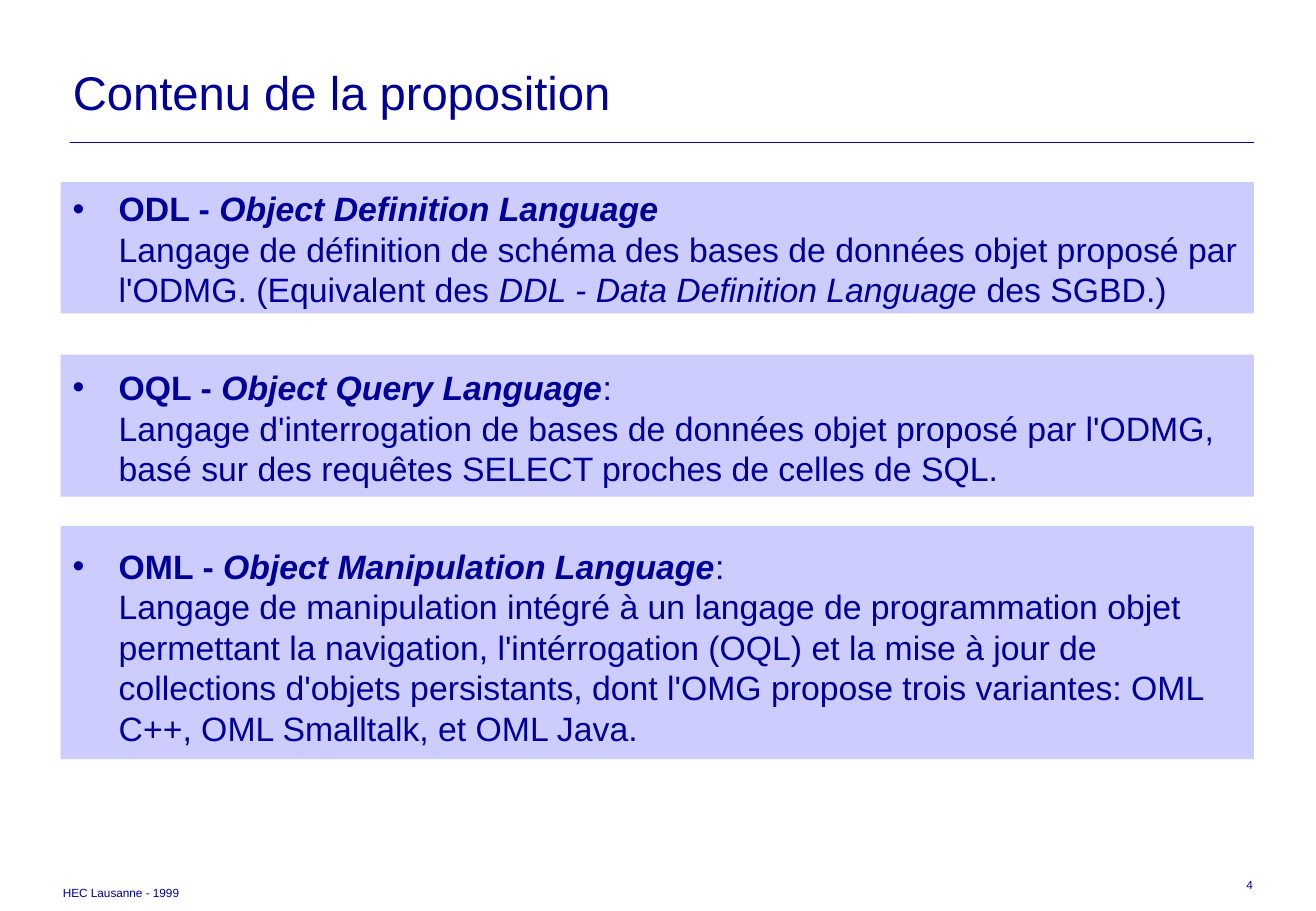
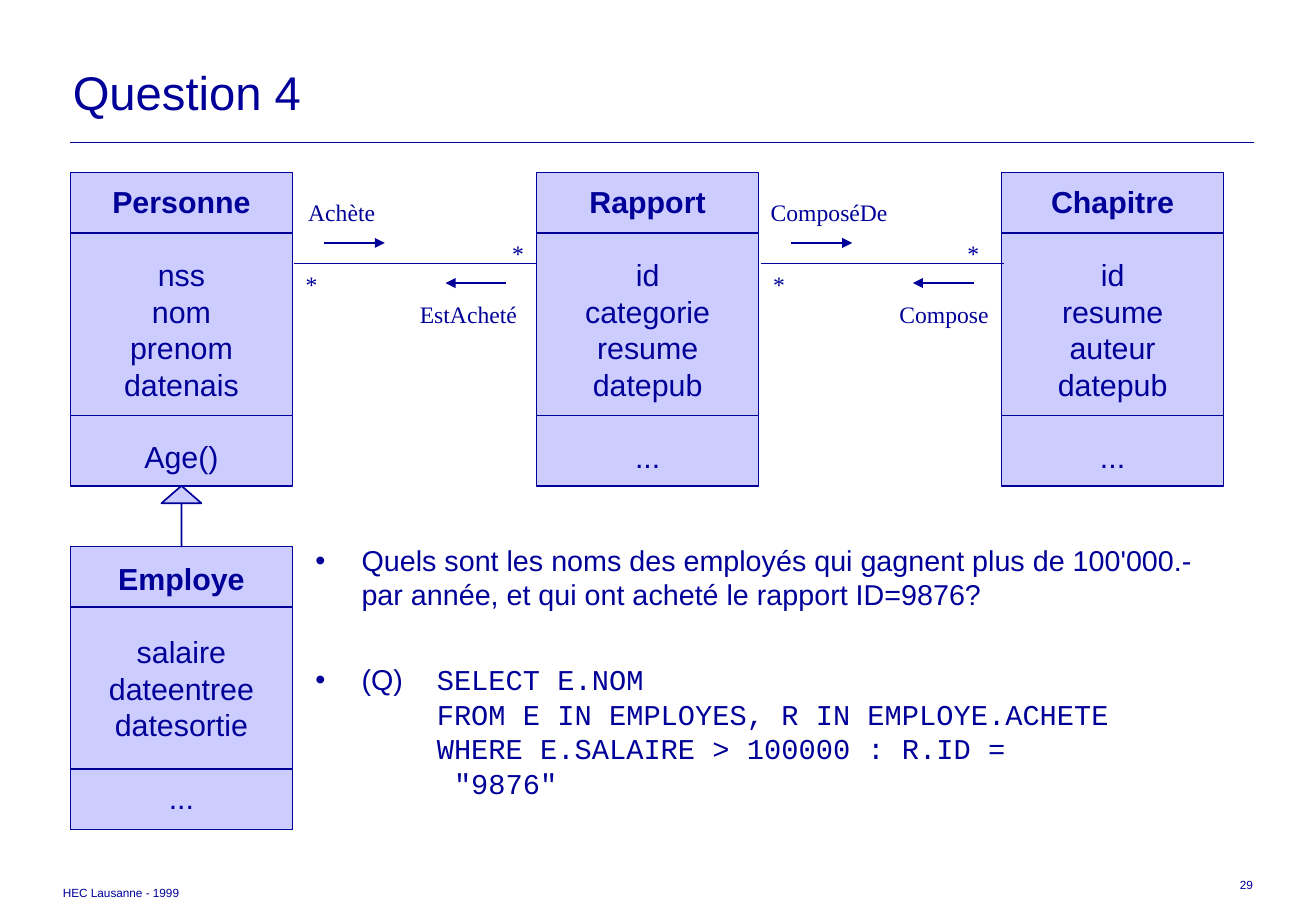
from dataclasses import dataclass
from lxml.etree import SubElement
from pptx import Presentation
from pptx.dml.color import RGBColor
from pptx.enum.shapes import MSO_CONNECTOR, MSO_SHAPE
from pptx.enum.text import MSO_ANCHOR, MSO_AUTO_SIZE, PP_ALIGN
from pptx.oxml.ns import qn
from pptx.util import Inches, Pt


@dataclass(frozen=True)
class Theme:
    ink: RGBColor = RGBColor(0x00, 0x00, 0x99)
    tint: RGBColor = RGBColor(0xCC, 0xCC, 0xFF)
    sans: str = "Arial"
    serif: str = "Times New Roman"
    mono: str = "Courier New"
    title: int = 28
    definition: int = 20
    member: int = 18
    question: int = 17
    role: int = 14
    footer: int = 7
    leading: float = 1.2
    hairline: float = 0.25
    outline: float = 1


theme = Theme()


def write(frame, paragraphs, size, font=theme.sans, align=PP_ALIGN.LEFT,
          anchor=MSO_ANCHOR.TOP, wrap=True, bullet=False, tab=None,
          top=0.05, gaps=None):
    frame.word_wrap = wrap
    frame.auto_size = MSO_AUTO_SIZE.NONE
    frame.vertical_anchor = anchor
    frame.margin_left = frame.margin_right = Inches(0.1)
    frame.margin_top, frame.margin_bottom = Inches(top), Inches(0.05)
    for index, runs in enumerate(paragraphs):
        paragraph = frame.add_paragraph() if index else frame.paragraphs[0]
        if bullet:
            properties = paragraph._p.get_or_add_pPr()
            properties.set("marL", str(Inches(0.38)))
            properties.set("indent", str(-Inches(0.38)))
            colour = SubElement(properties, qn("a:buClr"))
            SubElement(colour, qn("a:srgbClr"), val=str(theme.ink))
            SubElement(properties, qn("a:buFont"), typeface=theme.sans)
            SubElement(properties, qn("a:buChar"), char="•")
            if tab:
                stops = SubElement(properties, qn("a:tabLst"))
                SubElement(stops, qn("a:tab"), pos=str(Inches(tab)), algn="l")
        paragraph.alignment = align
        paragraph.line_spacing = Pt(size * theme.leading)
        paragraph.space_before = Pt((gaps or {}).get(index, 0))
        for text, style in [(runs, {})] if isinstance(runs, str) else runs:
            for row, line in enumerate(text.split("\n")):
                if row:
                    paragraph.add_line_break()
                if not line:
                    continue
                run = paragraph.add_run()
                run.text = line
                run.font.size = Pt(size)
                run.font.name = style.get("font", font)
                run.font.bold = style.get("bold", False)
                run.font.italic = style.get("italic", False)
                run.font.color.rgb = theme.ink


def draw_line(slide, start, end, width=theme.outline, arrow=False):
    line = slide.shapes.add_connector(
        MSO_CONNECTOR.STRAIGHT, *(Inches(value) for value in (*start, *end)))
    line.line.color.rgb = theme.ink
    line.line.width = Pt(width)
    properties = line._element.spPr
    if arrow:
        SubElement(properties.find(qn("a:ln")), qn("a:tailEnd"), type="triangle")
    SubElement(properties, qn("a:effectLst"))


deck = Presentation()
deck.slide_width, deck.slide_height = Inches(10.84), Inches(7.5)

slides = []
for heading, number in (("Contenu de la proposition", "4"), ("Question 4", "29")):
    slide = deck.slides.add_slide(deck.slide_layouts[5])
    slides.append(slide)
    title = slide.shapes.title
    title.left, title.top = Inches(0.5), Inches(0.42)
    title.width, title.height = Inches(9.83), Inches(0.67)
    write(title.text_frame, [heading], theme.title, anchor=MSO_ANCHOR.MIDDLE)
    draw_line(slide, (0.58, 1.17), (10.33, 1.17), theme.hairline)
    for text, left, top, align in (
            ("HEC Lausanne - 1999", 0.42, 7.24, PP_ALIGN.LEFT),
            (number, 7.69, 7.18, PP_ALIGN.RIGHT)):
        footer = slide.shapes.add_textbox(
            Inches(left), Inches(top), Inches(2.73), Inches(0.22))
        write(footer.text_frame, [text], theme.footer, align=align)

content, question = slides
tinted = []

bold, italic = {"bold": True}, {"italic": True}
bold_italic = {**bold, **italic}
definitions = [
    (1.5, 1.08, 0.05, [
        ("ODL - ", bold), ("Object Definition Language", bold_italic),
        ("\nLangage de définition de schéma des bases de données objet proposé "
         "par l'ODMG. (Equivalent des ", {}),
        ("DDL - Data Definition Language", italic), (" des SGBD.)", {})]),
    (2.92, 1.17, 0.1, [
        ("OQL - ", bold), ("Object Query Language", bold_italic),
        (":\nLangage d'interrogation de bases de données objet proposé par "
         "l'ODMG, basé sur des requêtes SELECT proches de celles de SQL.", {})]),
    (4.33, 1.92, 0.16, [
        ("OML - ", bold), ("Object Manipulation Language", bold_italic),
        (":\nLangage de manipulation intégré à un langage de programmation objet "
         "permettant la navigation, l'intérrogation (OQL) et la mise à jour de "
         "collections d'objets persistants, dont l'OMG propose trois variantes: "
         "OML C++, OML Smalltalk, et OML Java.", {})]),
]
for top, height, inset, runs in definitions:
    panel = content.shapes.add_shape(
        MSO_SHAPE.RECTANGLE, Inches(0.5), Inches(top), Inches(9.83), Inches(height))
    write(panel.text_frame, [runs], theme.definition, bullet=True, top=inset)
    tinted.append((panel, False))

class_width = 1.83
classes = [
    (0.58, 1.42, 2.58, 2, "Personne", ["nss", "nom", "prenom", "datenais"], "Age()"),
    (4.42, 1.42, 2.58, 2, "Rapport", ["id", "categorie", "resume", "datepub"], "..."),
    (8.25, 1.42, 2.58, 2, "Chapitre", ["id", "resume", "auteur", "datepub"], "..."),
    (0.58, 4.5, 2.33, 1.83, "Employe", ["salaire", "dateentree", "datesortie"], "..."),
]
blank_line = theme.member * theme.leading
for left, top, height, methods_offset, name, attributes, method in classes:
    class_box = question.shapes.add_shape(
        MSO_SHAPE.RECTANGLE, Inches(left), Inches(top),
        Inches(class_width), Inches(height))
    write(class_box.text_frame, [[(name, bold)], *attributes, method], theme.member,
          align=PP_ALIGN.CENTER, anchor=MSO_ANCHOR.MIDDLE, wrap=False,
          gaps={1: blank_line, len(attributes) + 1: blank_line})
    tinted.append((class_box, True))
    for offset in (0.5, methods_offset):
        draw_line(question, (left, top + offset), (left + class_width, top + offset))

inheritance = question.shapes.add_shape(
    MSO_SHAPE.UP_ARROW, Inches(1.33), Inches(4), Inches(0.33), Inches(0.5))
inheritance.adjustments[0], inheritance.adjustments[1] = 0, 0.435
tinted.append((inheritance, True))

associations = [
    (2.42, ("Achète", 2.44, 0.75), ("EstAcheté", 3.36, 1), 4.12),
    (6.27, ("ComposéDe", 6.25, 1.16), ("Compose", 7.31, 0.93), 7.87),
]
for left, forward, backward, far_star in associations:
    draw_line(question, (left, 2.17), (left + 2, 2.17))
    draw_line(question, (left + 0.25, 2), (left + 0.75, 2), arrow=True)
    draw_line(question, (left + 1.75, 2.33), (left + 1.25, 2.33), arrow=True)
    for (text, x, width), y in ((forward, 1.58), (backward, 2.42),
                                (("*", left, 0.3), 2.17), (("*", far_star, 0.3), 1.92)):
        role = question.shapes.add_textbox(
            Inches(x), Inches(y), Inches(width), Inches(0.34))
        write(role.text_frame, [text], theme.role, font=theme.serif, wrap=False)

for shape, outlined in tinted:
    shape.shadow.inherit = False
    shape.fill.solid()
    shape.fill.fore_color.rgb = theme.tint
    if outlined:
        shape.line.color.rgb = theme.ink
        shape.line.width = Pt(theme.outline)
    else:
        shape.line.fill.background()

query = """SELECT E.NOM
\tFROM E IN EMPLOYES, R IN EMPLOYE.ACHETE
\tWHERE E.SALAIRE > 100000 : R.ID =
\t "9876\""""
exercise = question.shapes.add_textbox(
    Inches(2.5), Inches(4.42), Inches(7.83), Inches(2.42))
write(exercise.text_frame, [
    "Quels sont les noms des employés qui gagnent plus de 100'000.- par année, "
    "et qui ont acheté le rapport ID=9876?",
    [("(Q)\t", {}), (query, {"font": theme.mono})],
], theme.question, bullet=True, tab=1, gaps={1: 30})

deck.save("out.pptx")
